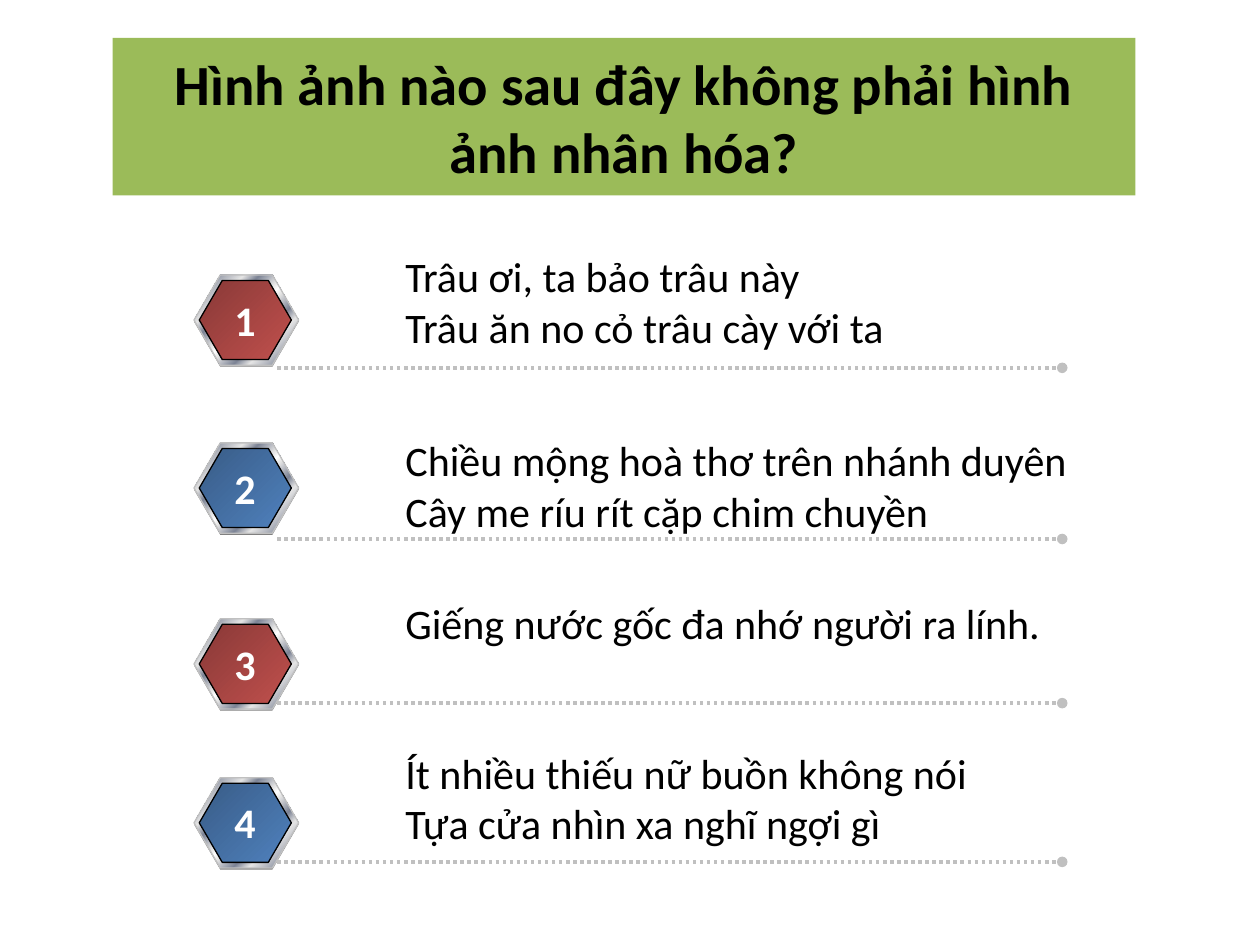
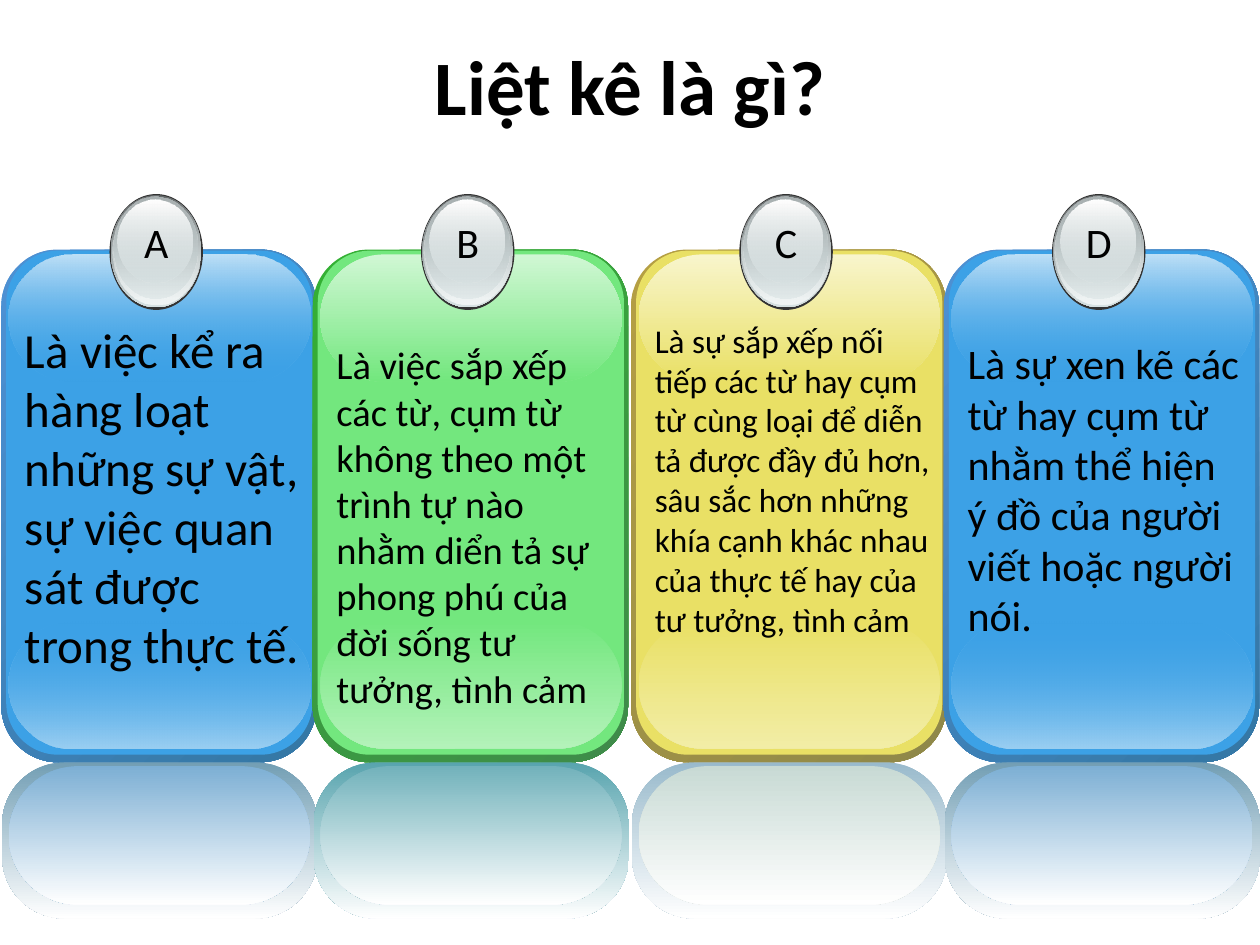
import dataclasses

import lxml.etree
import pptx
import pptx.dml.color
import pptx.enum.dml
import pptx.enum.shapes
import pptx.enum.text
import pptx.oxml
import pptx.oxml.ns
import pptx.util

Pt = pptx.util.Pt
PRESET = pptx.enum.shapes.MSO_SHAPE
ALIGN = pptx.enum.text.PP_ALIGN
qn = pptx.oxml.ns.qn


@dataclasses.dataclass(frozen=True)
class Theme:
    font: str = "Calibri"
    ink: str = "000000"
    paper: str = "FFFFFF"
    band: str = "9BBB59"
    rule: str = "C0C0C0"
    hexagon_shade: str = "808080"
    red: tuple = ("893937", "C0504D")
    blue: tuple = ("395C87", "4F81BD")
    steel: tuple = ((0, "E6E6E6"), (8, "7D8496"), (26, "E6E6E6"), (34, "7D8496"),
                    (46, "E6E6E6"), (50, "FFFFFF"), (54, "E6E6E6"), (66, "7D8496"),
                    (74, "E6E6E6"), (92, "7D8496"), (100, "E6E6E6"))
    badge_edge: str = "333333"
    badge_dark: str = "636869"
    badge_mid: str = "AAB2B3"
    badge_light: str = "D6E1E2"
    badge_gleam: str = "F1F5F5"
    question_size: float = 32.4
    title_size: float = 44
    text_size: float = 24


@dataclasses.dataclass(frozen=True)
class Palette:
    """Colours of a glossy card; gloss_opacity is that of the face end of a gloss."""
    rim: tuple
    face: str
    top_gloss: str
    bottom_gloss: str
    reflected_rim: str
    reflected_face: str
    gloss_opacity: int = 100


BLUE_CARD = Palette(("4E91D4", "3477A4"), "3CA1E6", "BEE0F7", "9BCFF2", "729EB4", "7DAFD4", 0)
GREEN_CARD = Palette(("34B034", "3F8B4A"), "73E77E", "D0F7D4", "B3F2B9", "58A4AE", "72B2BB")
YELLOW_CARD = Palette(("B59F43", "8F8849"), "E9E065", "F8F5CC", "F2EDA6", "99BACC", "C8DAD4")


def rgb(code):
    return pptx.dml.color.RGBColor.from_string(code)


def blend(start, end, start_opacity=100, end_opacity=100):
    return (0, start, start_opacity), (100, end, end_opacity)


class Painter:
    def __init__(self, deck, theme):
        self.deck = deck
        self.theme = theme
        self.page = None
        self.canvas = None

    def new_page(self):
        self.page = self.deck.slides.add_slide(self.deck.slide_layouts[5])
        self.canvas = self.page.shapes

    def begin_group(self):
        self.canvas = self.page.shapes.add_group_shape().shapes

    def end_group(self):
        self.canvas = self.page.shapes

    def format_text(self, frame, size, color, bold, align):
        for para in frame.paragraphs:
            para.alignment = align
            for span in para.runs:
                span.font.name = self.theme.font
                span.font.size = Pt(size)
                span.font.bold = bold
                span.font.color.rgb = rgb(color)

    def title(self, text, bounds, size, fill=None):
        box = self.page.shapes.title
        box.left, box.top, box.width, box.height = map(Pt, bounds)
        if fill:
            box.fill.solid()
            box.fill.fore_color.rgb = rgb(fill)
        frame = box.text_frame
        frame.text = text
        frame.auto_size = pptx.enum.text.MSO_AUTO_SIZE.NONE
        frame.vertical_anchor = pptx.enum.text.MSO_ANCHOR.MIDDLE
        self.format_text(frame, size, self.theme.ink, True, ALIGN.CENTER)

    def text(self, text, bounds, size, color=None, bold=False, align=ALIGN.LEFT, wrap=True):
        box = self.canvas.add_textbox(*map(Pt, bounds))
        frame = box.text_frame
        frame.text = text
        frame.word_wrap = wrap
        frame.auto_size = pptx.enum.text.MSO_AUTO_SIZE.SHAPE_TO_FIT_TEXT
        self.format_text(frame, size, color or self.theme.ink, bold, align)

    def shape(self, preset, bounds, fill, angle=90, line=None, adjustments=()):
        """Draw a preset shape; fill is a colour or a series of gradient stops."""
        shape = self.canvas.add_shape(preset, *map(Pt, bounds))
        shape.shadow.inherit = False
        for index, value in enumerate(adjustments):
            shape.adjustments[index] = value
        if isinstance(fill, str):
            shape.fill.solid()
            shape.fill.fore_color.rgb = rgb(fill)
        else:
            self.gradient(shape, fill, angle)
        if line:
            shape.line.color.rgb = rgb(line)
            shape.line.width = Pt(0.75)
        else:
            shape.line.fill.background()

    def gradient(self, shape, stops, angle):
        shape.fill.background()
        properties = shape._element.spPr
        gradient = pptx.oxml.parse_xml(
            f'<a:gradFill {pptx.oxml.ns.nsdecls("a")} rotWithShape="1"><a:gsLst/>'
            f'<a:lin ang="{angle * 60000}" scaled="1"/></a:gradFill>')
        for position, color, *opacity in stops:
            stop = lxml.etree.SubElement(gradient[0], qn("a:gs"), pos=str(position * 1000))
            tint = lxml.etree.SubElement(stop, qn("a:srgbClr"), val=color)
            if opacity and opacity[0] < 100:
                lxml.etree.SubElement(tint, qn("a:alpha"), val=str(opacity[0] * 1000))
        properties.replace(properties.find(qn("a:noFill")), gradient)

    def dotted_rule(self, left, right, top):
        rule = self.canvas.add_connector(
            pptx.enum.shapes.MSO_CONNECTOR.STRAIGHT, Pt(left), Pt(top), Pt(right), Pt(top))
        rule.line.color.rgb = rgb(self.theme.rule)
        rule.line.width = Pt(2)
        rule.line.dash_style = pptx.enum.dml.MSO_LINE.ROUND_DOT
        lxml.etree.SubElement(rule.line._get_or_add_ln(), qn("a:tailEnd"), type="oval")
        lxml.etree.SubElement(rule._element.spPr, qn("a:effectLst"))

    def numbered_hexagon(self, number, top, colors):
        theme = self.theme
        outer = (110.9, 59.8, 51.8)
        layers = (
            (outer, 0.9, theme.hexagon_shade, None),
            (outer, 0, theme.steel, theme.rule),
            ((113.9, 52.6, 45.4), 3.2, blend(*colors), theme.ink),
        )
        self.begin_group()
        for (left, width, height), drop, fill, line in layers:
            self.shape(PRESET.HEXAGON, (left, top + drop, width, height), fill,
                       angle=45, line=line, adjustments=(0.29, 1.15))
        self.end_group()
        self.text(str(number), (126, top + 7.6, 28, 36), theme.text_size,
                  theme.paper, True, ALIGN.CENTER, wrap=False)

    def glossy_card(self, left, palette):
        """Draw a card and its reflection, as layers of (bounds, corner, fill, angle)."""
        face, opacity, paper = palette.face, palette.gloss_opacity, self.theme.paper
        layers = (
            ((0, 142.6, 180.2, 293), 0.18, blend(*palette.rim), 45),
            ((2.9, 143.3, 175, 288), 0.17, face, 90),
            ((4.3, 355, 172.2, 72.7), 0.5, blend(face, palette.bottom_gloss, opacity), 90),
            ((4.3, 145.4, 172.2, 72.7), 0.5,
             blend(palette.top_gloss, face, 100, opacity), 90),
            ((0.5, 435.6, 180.2, 89.3), 0.4, blend(palette.reflected_rim, paper), 90),
            ((4.3, 437.8, 172.2, 79.2), 0.5, blend(palette.reflected_face, paper), 90),
        )
        for (offset, *rest), corner, fill, angle in layers:
            self.shape(PRESET.ROUNDED_RECTANGLE, (left + offset, *rest), fill,
                       angle, adjustments=(corner,))

    def badge(self, left, letter):
        theme = self.theme
        light = theme.badge_light
        layers = (
            ((61.9, 110.9, 53.4, 66.2), theme.badge_edge),
            ((62.6, 111.5, 51.8, 64.1), blend(theme.badge_dark, light)),
            ((63.4, 111.6, 50.5, 62.3), blend(light, theme.badge_gleam, 0)),
            ((64.1, 112.3, 48.2, 58.3), blend(theme.badge_mid, light, 100, 48)),
            ((66.7, 113.8, 42.6, 47.5), blend(theme.paper, light, 100, 38)),
        )
        for (offset, *rest), fill in layers:
            self.shape(PRESET.OVAL, (left + offset, *rest), fill)
        self.text(letter, (left + 72.3, 120.2, 32.6, 36), theme.text_size,
                  align=ALIGN.CENTER, wrap=False)


def draw_question(painter):
    theme = painter.theme
    painter.new_page()
    painter.title("Hình ảnh nào sau đây không phải hình ảnh nhân hóa?",
                  (64.3, 21.7, 584.6, 90), theme.question_size, theme.band)
    # hexagon top, rule top, text top, text width, wording
    answers = (
        (157, 210.2, 139.7, 385, "Trâu ơi, ta bảo trâu này\nTrâu ăn no cỏ trâu cày với ta"),
        (253, 308, 244.8, 449,
         "Chiều mộng hoà thơ trên nhánh duyên\nCây me ríu rít cặp chim chuyền"),
        (353.5, 401.8, 337.7, 427, "Giếng nước gốc đa nhớ người ra lính."),
        (444.3, 492.5, 423.4, 380,
         "Ít nhiều thiếu nữ buồn không nói\nTựa cửa nhìn xa nghĩ ngợi gì"),
    )
    for number, (top, rule_top, text_top, width, wording) in enumerate(answers, 1):
        painter.numbered_hexagon(number, top, theme.red if number % 2 else theme.blue)
        painter.dotted_rule(158.4, 607, rule_top)
        height = 36 + 29.4 * wording.count("\n")
        painter.text(wording, (224.6, text_top, width, height), theme.text_size)


def draw_definitions(painter):
    painter.new_page()
    painter.title("Liệt kê là gì?", (36, 3.6, 648, 90), painter.theme.title_size)
    # letter, card left, palette, text top, text height, text size, wording
    cards = (
        ("A", 0.7, BLUE_CARD, 179.3, 245, 28,
         "Là việc kể ra hàng loạt những sự vật, sự việc quan sát được trong thực tế."),
        ("B", 178.7, GREEN_CARD, 191.5, 220, 22,
         "Là việc sắp xếp các từ, cụm từ không theo một trình tự nào nhằm diển tả sự "
         "phong phú của đời sống tư tưởng, tình cảm"),
        ("C", 360.6, YELLOW_CARD, 179.3, 238, 19,
         "Là sự sắp xếp nối tiếp các từ hay cụm từ cùng loại để diễn tả được đầy đủ hơn, "
         "sâu sắc hơn những khía cạnh khác nhau của thực tế hay của tư tưởng, tình cảm"),
        ("D", 539.3, BLUE_CARD, 189.4, 284, 24,
         "Là sự xen kẽ các từ hay cụm từ nhằm thể hiện ý đồ của người viết hoặc người nói."),
    )
    for letter, left, palette, top, height, size, wording in cards:
        painter.begin_group()
        painter.glossy_card(left, palette)
        painter.badge(left, letter)
        painter.text(wording, (left + 6.5, top, 171.5, height), size)
        painter.end_group()


def main():
    deck = pptx.Presentation()
    deck.slide_width, deck.slide_height = Pt(720), Pt(540)
    painter = Painter(deck, Theme())
    draw_question(painter)
    draw_definitions(painter)
    deck.save("out.pptx")


if __name__ == "__main__":
    main()
